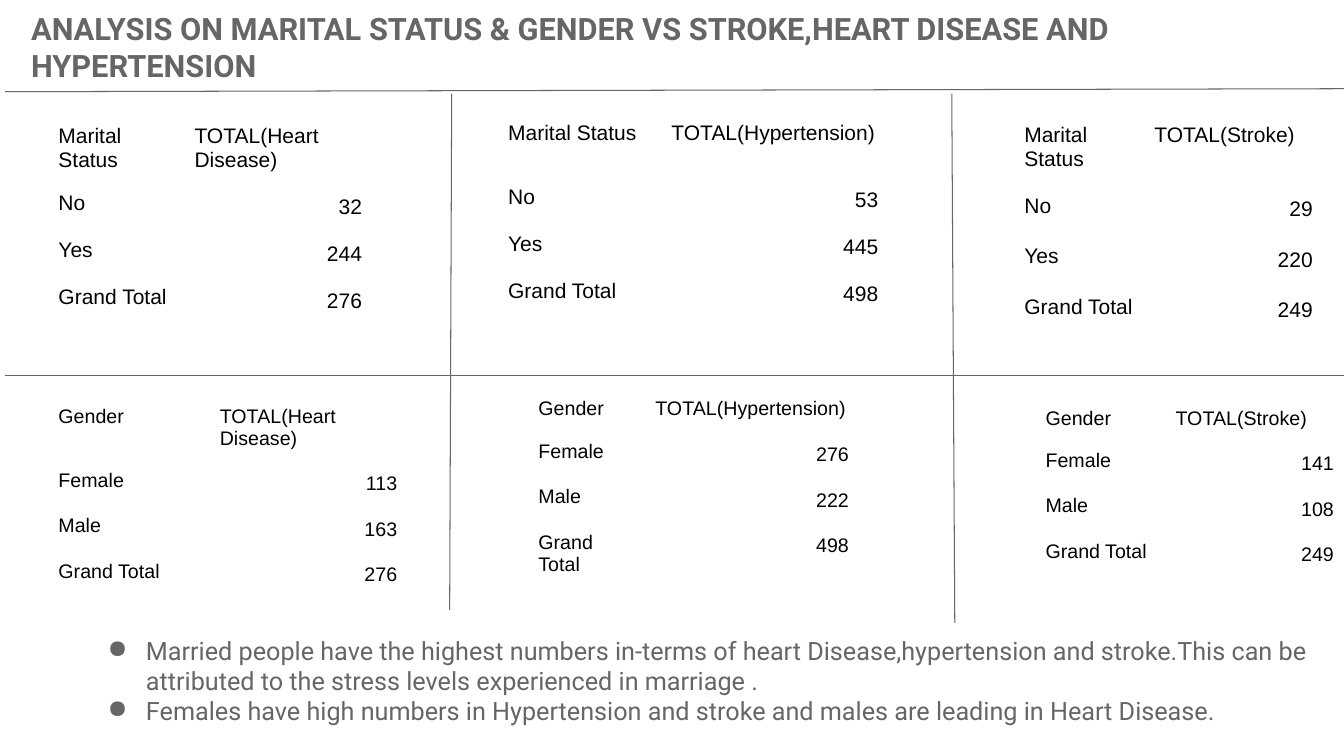
from lxml import etree
from pptx import Presentation
from pptx.dml import color
from pptx.enum import shapes, text
from pptx.oxml import ns
from pptx.util import Inches, Pt

GREY = color.RGBColor(0x66, 0x66, 0x66)
BLACK = color.RGBColor(0, 0, 0)

# Content
TITLE = "ANALYSIS ON MARITAL STATUS & GENDER VS STROKE,HEART DISEASE AND HYPERTENSION"
FINDINGS = [
    "Married people have the highest numbers in-terms of heart Disease,hypertension and stroke."
    "This can be attributed to the stress levels experienced in marriage .",
    "Females have high numbers in Hypertension and stroke and males are leading in Heart Disease.",
]
GROUPS = {
    "Marital Status": (["No", "Yes", "Grand Total"], 15),
    "Gender": (["Female", "Male", "Grand Total"], 14),
}
# Group, condition, counts, (left, top), column widths, row heights
TABLES = [
    ("Marital Status", "Heart Disease", [32, 244], (0.48, 1.14), [1.35, 1.86], [0.39, 0.21, 0.2, 0.2]),
    ("Marital Status", "Hypertension", [53, 445], (4.94, 1.11), [1.62, 2.25], [0.63, 0.45, 0.45, 0.63]),
    ("Marital Status", "Stroke", [29, 220], (10.06, 1.13), [1.29, 1.77], [0.7, 0.5, 0.5, 0.5]),
    ("Gender", "Heart Disease", [113, 163], (0.48, 3.92), [1.6, 1.96], [0.39, 0.21, 0.2, 0.2]),
    ("Gender", "Hypertension", [276, 222], (5.24, 3.85), [1.16, 2.12], [0.21, 0.21, 0.2, 0.2]),
    ("Gender", "Stroke", [141, 108], (10.27, 3.94), [1.29, 1.77], [0.21, 0.21, 0.2, 0.2]),
]
# Start x, start y, end x, end y
DIVIDERS = [
    (0.05, 0.91, 13.4, 0.88),
    (4.48, 0.93, 4.46, 6.05),
    (9.44, 0.93, 9.47, 6.18),
    (0.05, 3.73, 13.4, 3.73),
]


def write(para, words, size, font="Arial", ink=BLACK, bold=False, align=None, spacing=None):
    span = para.add_run()
    span.text = words
    span.font.size = Pt(size)
    span.font.name = font
    span.font.bold = bold
    span.font.color.rgb = ink
    if align is not None:
        para.alignment = align
    if spacing:
        para.line_spacing = spacing


def set_margins(holder):
    holder.margin_left = holder.margin_right = Inches(0.1)
    holder.margin_top = holder.margin_bottom = Inches(0.1)


def add_box(page, left, top, width, height):
    box = page.shapes.add_textbox(Inches(left), Inches(top), Inches(width), Inches(height))
    frame = box.text_frame
    frame.word_wrap = True
    set_margins(frame)
    return frame


def add_bullet(para):
    props = para._p.get_or_add_pPr()
    props.set("marL", str(Inches(0.5)))
    props.set("indent", str(Inches(-0.38)))
    ink = etree.SubElement(props, ns.qn("a:buClr"))
    etree.SubElement(ink, ns.qn("a:srgbClr")).set("val", str(GREY))
    etree.SubElement(props, ns.qn("a:buChar")).set("char", "●")


def add_count_table(page, group, condition, counts, corner, widths, heights):
    labels, size = GROUPS[group]
    values = [str(count) for count in counts + [sum(counts)]]
    rows = [(group, f"TOTAL({condition})"), *zip(labels, values)]
    left, top = corner
    table = page.shapes.add_table(len(rows), 2, Inches(left), Inches(top),
                                  Inches(sum(widths)), Inches(sum(heights))).table
    table.first_row = table.horz_banding = False
    for column, width in zip(table.columns, widths):
        column.width = Inches(width)
    for r, words in enumerate(rows):
        table.rows[r].height = Inches(heights[r])
        for c, word in enumerate(words):
            cell = table.cell(r, c)
            cell.fill.background()
            set_margins(cell)
            numeric = r > 0 and c == 1
            write(cell.text_frame.paragraphs[0], word, size,
                  align=text.PP_ALIGN.RIGHT if numeric else None,
                  spacing=1.15 if numeric else None)


def add_divider(page, ends):
    line = page.shapes.add_connector(shapes.MSO_CONNECTOR.STRAIGHT, *map(Inches, ends))
    line.line.color.rgb = GREY
    line.line.width = Pt(0.75)
    etree.SubElement(line._element.spPr, ns.qn("a:effectLst"))


def main():
    deck = Presentation()
    deck.slide_width, deck.slide_height = Inches(13.33), Inches(7.5)
    page = deck.slides.add_slide(deck.slide_layouts[6])

    # Count tables
    for entry in TABLES:
        add_count_table(page, *entry)

    # Title
    title = add_box(page, 0.21, 0, 12.91, 0.97)
    write(title.paragraphs[0], TITLE, 22, font="Roboto", ink=GREY, bold=True)

    # Findings
    findings = add_box(page, 0.85, 6.2, 12.27, 0.97)
    for i, finding in enumerate(FINDINGS):
        para = findings.add_paragraph() if i else findings.paragraphs[0]
        write(para, finding, 18, font="Roboto", ink=GREY)
        add_bullet(para)

    # Grid lines
    for ends in DIVIDERS:
        add_divider(page, ends)

    deck.save("out.pptx")


if __name__ == "__main__":
    main()
